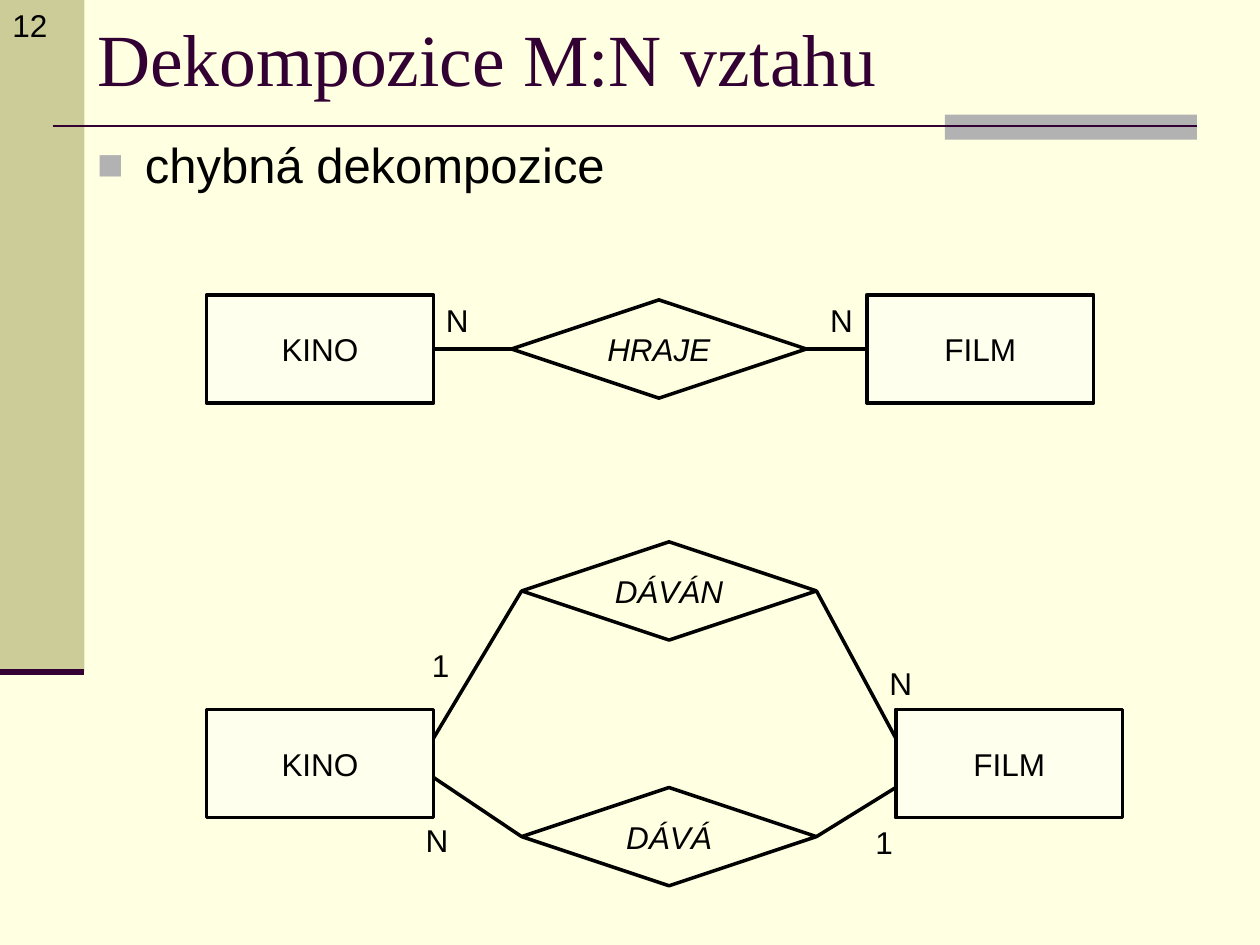
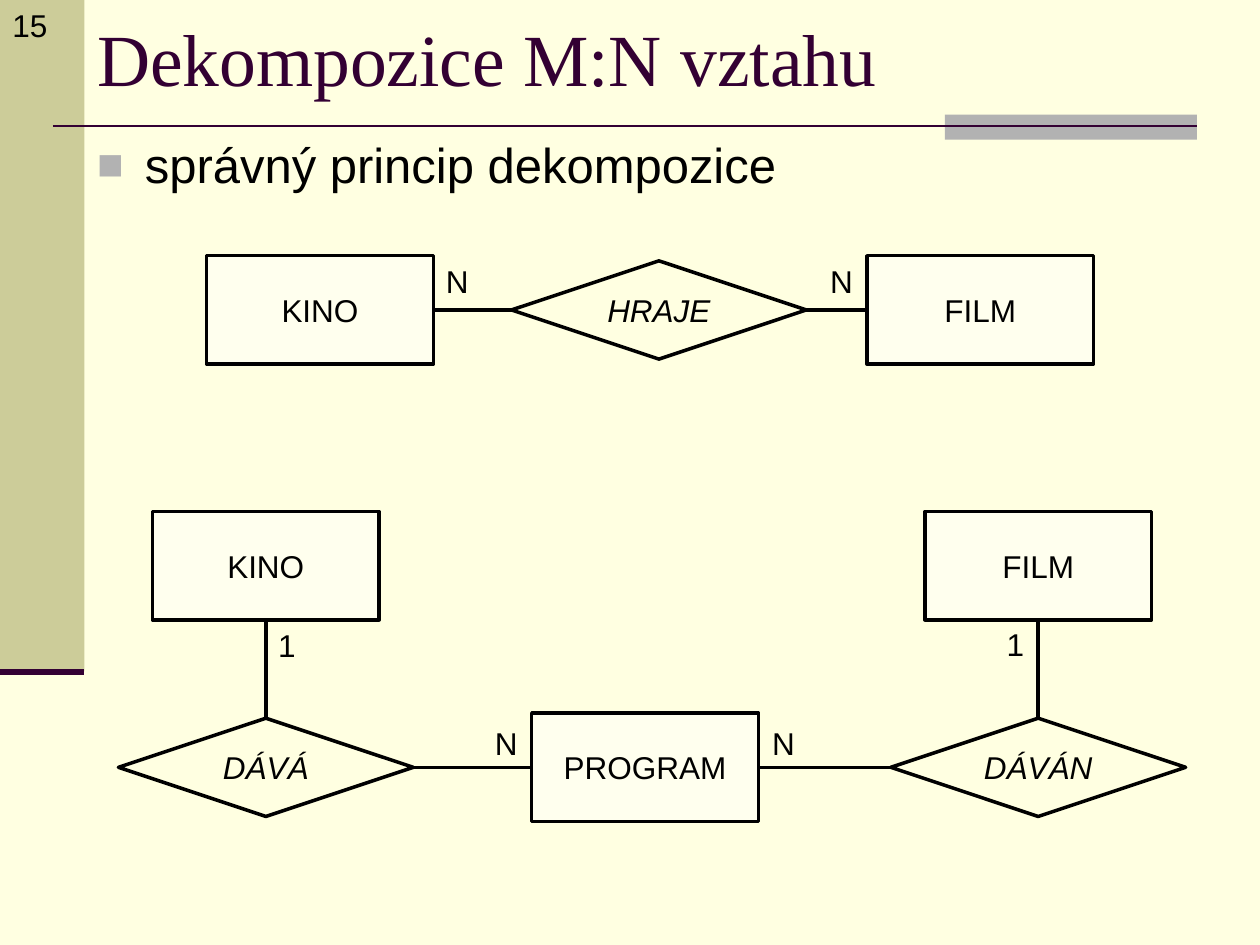
import lxml.etree
import pptx
import pptx.dml.color
import pptx.enum.shapes
import pptx.enum.text
import pptx.oxml.ns
import pptx.util

Inches = pptx.util.Inches
Pt = pptx.util.Pt
RGBColor = pptx.dml.color.RGBColor
SHAPE = pptx.enum.shapes.MSO_SHAPE
STRAIGHT = pptx.enum.shapes.MSO_CONNECTOR.STRAIGHT
ALIGN = pptx.enum.text.PP_ALIGN
ANCHOR = pptx.enum.text.MSO_ANCHOR
AUTO_SIZE = pptx.enum.text.MSO_AUTO_SIZE
qn = pptx.oxml.ns.qn

CREAM = RGBColor(0xFF, 0xFF, 0xE1)
IVORY = RGBColor(0xFF, 0xFF, 0xEE)
OLIVE = RGBColor(0xCC, 0xCC, 0x99)
GRAY = RGBColor(0xB2, 0xB2, 0xB2)
PLUM = RGBColor(0x33, 0x00, 0x33)
BLACK = RGBColor(0x00, 0x00, 0x00)

ENTITY_WIDTH, ENTITY_HEIGHT = 1.8, 0.86
RELATION_WIDTH, RELATION_HEIGHT = 2.34, 0.78
TOP, LEFT, BOTTOM, RIGHT = range(4)


# Basic parts
def add_run(paragraph, text, size=18, font="Arial", color=BLACK, italic=None):
    run = paragraph.add_run()
    run.text = text
    run.font.size = Pt(size)
    run.font.name = font
    run.font.color.rgb = color
    run.font.italic = italic


def add_filled(shapes, kind, left, top, width, height, fill):
    shape = shapes.add_shape(kind, Inches(left), Inches(top), Inches(width), Inches(height))
    shape.shadow.inherit = False
    shape.fill.solid()
    shape.fill.fore_color.rgb = fill
    shape.line.fill.background()
    return shape


def add_line(shapes, start, end, color=BLACK, width=2):
    line = shapes.add_connector(STRAIGHT, *start, *end)
    line.line.color.rgb = color
    line.line.width = Pt(width)
    lxml.etree.SubElement(line._element.spPr, qn("a:effectLst"))
    return line


def at(left, top):
    return Inches(left), Inches(top)


# Diagram parts
def add_node(shapes, kind, left, top, width, height, fill, text, italic=None):
    node = add_filled(shapes, kind, left, top, width, height, fill)
    node.line.color.rgb = BLACK
    node.line.width = Pt(2)
    node.text_frame.vertical_anchor = ANCHOR.MIDDLE
    paragraph = node.text_frame.paragraphs[0]
    paragraph.alignment = ALIGN.CENTER
    add_run(paragraph, text, italic=italic)
    return node


def add_entity(shapes, left, top, text):
    return add_node(shapes, SHAPE.RECTANGLE, left, top, ENTITY_WIDTH, ENTITY_HEIGHT, IVORY, text)


def add_relation(shapes, left, top, text):
    return add_node(shapes, SHAPE.DIAMOND, left, top, RELATION_WIDTH, RELATION_HEIGHT,
                    CREAM, text, italic=True)


def add_cardinality(slide, left, top, text):
    width = 0.34 if text == "1" else 0.38
    box = slide.shapes.add_textbox(*at(left, top), Inches(width), Inches(0.4))
    box.text_frame.word_wrap = False
    box.text_frame.auto_size = AUTO_SIZE.SHAPE_TO_FIT_TEXT
    add_run(box.text_frame.paragraphs[0], text)


def side_point(node, side):
    middle_x, middle_y = node.left + node.width // 2, node.top + node.height // 2
    return {TOP: (middle_x, node.top), LEFT: (node.left, middle_y),
            BOTTOM: (middle_x, node.top + node.height),
            RIGHT: (node.left + node.width, middle_y)}[side]


def join(shapes, start, start_side, end, end_side):
    line = add_line(shapes, side_point(start, start_side), side_point(end, end_side))
    line.begin_connect(start, start_side)
    line.end_connect(end, end_side)


def join_to_point(shapes, start, start_side, point):
    line = add_line(shapes, side_point(start, start_side), point)
    line.begin_connect(start, start_side)


# Diagrams
def add_many_to_many(slide, left, top):
    shapes = slide.shapes.add_group_shape().shapes
    cinema = add_entity(shapes, left, top, "KINO")
    film = add_entity(shapes, left + 5.24, top, "FILM")
    plays = add_relation(shapes, left + 2.42, top + 0.04, "HRAJE")
    join(shapes, plays, LEFT, cinema, RIGHT)
    join(shapes, plays, RIGHT, film, LEFT)
    for offset in (1.8, 4.85):
        add_cardinality(slide, left + offset, top, "N")


def add_wrong_decomposition(slide, left, top):
    shapes = slide.shapes
    film_left = left + 5.47
    add_entity(shapes, left, top + 1.33, "KINO")
    add_entity(shapes, film_left, top + 1.33, "FILM")
    for text, offset, cinema_end, film_end in (("DÁVÁN", 0, 1.56, 1.56),
                                               ("DÁVÁ", 1.95, 1.87, 1.95)):
        relation = add_relation(shapes, left + 2.5, top + offset, text)
        join_to_point(shapes, relation, LEFT, at(left + ENTITY_WIDTH, top + cinema_end))
        join_to_point(shapes, relation, RIGHT, at(film_left, top + film_end))
    for text, x, y in (("1", 1.69, 0.78), ("N", 5.32, 0.92),
                       ("1", 5.21, 2.18), ("N", 1.64, 2.17)):
        add_cardinality(slide, left + x, top + y, text)


def add_right_decomposition(slide, left, top):
    shapes = slide.shapes
    program = add_entity(shapes, left + 3.28, top + 1.6, "PROGRAM")
    for entity_text, relation_text, offset, inner, program_side in (
            ("KINO", "DÁVÁ", 0, RIGHT, LEFT), ("FILM", "DÁVÁN", 6.13, LEFT, RIGHT)):
        entity = add_entity(shapes, left + offset + 0.27, top, entity_text)
        relation = add_relation(shapes, left + offset, top + 1.64, relation_text)
        join(shapes, relation, TOP, entity, BOTTOM)
        join(shapes, relation, inner, program, program_side)
    for text, x, y in (("1", 1.17, 0.86), ("1", 6.95, 0.85),
                       ("N", 2.89, 1.64), ("N", 5.09, 1.64)):
        add_cardinality(slide, left + x, top + y, text)


# Shared layout
def format_layout(layout):
    layout.background.fill.solid()
    layout.background.fill.fore_color.rgb = CREAM
    for placeholder, top, height in zip(layout.placeholders, (0, 1.02), (0.91, 6.35)):
        placeholder.left, placeholder.top = at(0.67, top)
        placeholder.width, placeholder.height = at(9.33, height)


def add_layout_bands(layout, slide):
    """Draw the bands with the slide's shape tools, then move them to the layout."""
    shapes = slide.shapes
    bands = (
        add_filled(shapes, SHAPE.RECTANGLE, 0, 0, 0.67, 5.33, OLIVE),
        add_filled(shapes, SHAPE.RECTANGLE, 7.5, 0.91, 2, 0.2, GRAY),
        add_line(shapes, at(0.42, 1), at(9.5, 1), PLUM, 1.5),
        add_line(shapes, at(0, 5.33), at(0.67, 5.33), PLUM, 3.5),
    )
    for index, band in enumerate(bands):
        band._element.xpath(".//p:cNvPr")[0].set("id", str(100 + index))
        layout.shapes._spTree.insert(2 + index, band._element)


# Slide text
def add_title(slide, text):
    frame = slide.shapes.title.text_frame
    frame.vertical_anchor = ANCHOR.MIDDLE
    frame.auto_size = AUTO_SIZE.NONE
    paragraph = frame.paragraphs[0]
    paragraph.alignment = ALIGN.LEFT
    add_run(paragraph, text, 42, "Times New Roman", PLUM)


def add_bullet(slide, text):
    frame = slide.placeholders[1].text_frame
    frame.auto_size = AUTO_SIZE.NONE
    paragraph = frame.paragraphs[0]
    paragraph.space_before = Pt(7)
    properties = paragraph._p.get_or_add_pPr()
    properties.set("marL", str(Inches(0.38)))
    properties.set("indent", str(Inches(-0.38)))
    color = lxml.etree.SubElement(properties, qn("a:buClr"))
    lxml.etree.SubElement(color, qn("a:srgbClr"), val=str(GRAY))
    lxml.etree.SubElement(properties, qn("a:buSzPct"), val="90000")
    lxml.etree.SubElement(properties, qn("a:buChar"), char="■")
    add_run(paragraph, text, 28)


def add_page_number(slide, number):
    box = slide.shapes.add_textbox(*at(0, 0), Inches(0.51), Inches(0.5))
    box.text_frame.word_wrap = True
    add_run(box.text_frame.paragraphs[0], number)


def add_decomposition_slide(presentation, layout, bullet, number, row_top,
                            add_decomposition, left, top):
    slide = presentation.slides.add_slide(layout)
    add_title(slide, "Dekompozice M:N vztahu")
    add_bullet(slide, bullet)
    add_many_to_many(slide, 1.64, row_top)
    add_decomposition(slide, left, top)
    add_page_number(slide, number)
    return slide


def main():
    presentation = pptx.Presentation()
    presentation.slide_width, presentation.slide_height = at(10, 7.5)
    layout = presentation.slide_layouts[1]
    format_layout(layout)
    first_slide = add_decomposition_slide(presentation, layout, "chybná dekompozice", "12",
                                          2.34, add_wrong_decomposition, 1.64, 4.3)
    add_layout_bands(layout, first_slide)
    add_decomposition_slide(presentation, layout, "správný princip dekompozice", "15",
                            2.03, add_right_decomposition, 0.94, 4.06)
    presentation.save("out.pptx")


if __name__ == "__main__":
    main()
